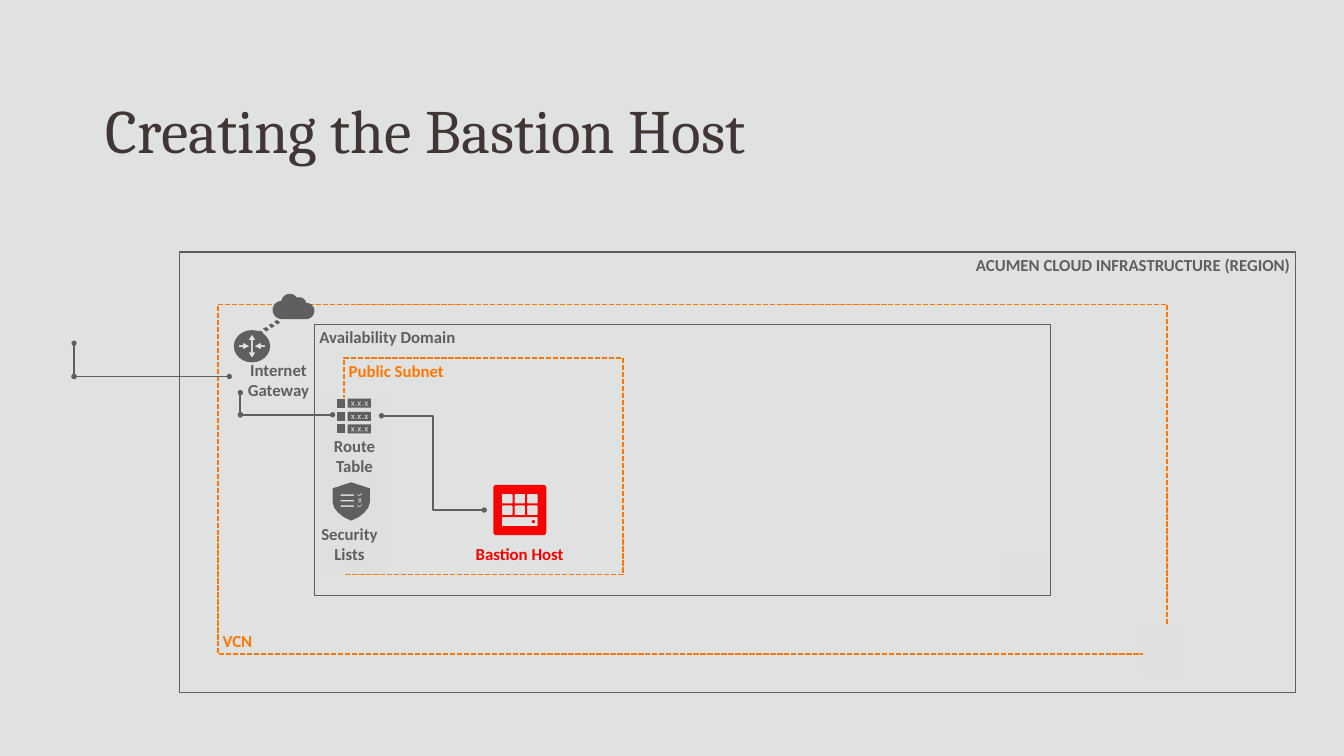
"""Build the slide that shows how the bastion host is created."""
import math
from lxml import etree
from pptx import Presentation
from pptx.dml.color import RGBColor
from pptx.enum import dml, shapes, text
from pptx.oxml import ns
from pptx.util import Inches, Pt

GREY = RGBColor(0x5F, 0x5F, 0x5F)
ORANGE = RGBColor(0xFF, 0x77, 0x00)
RED = RGBColor(0xF8, 0x00, 0x00)
PALE = RGBColor(0xDF, 0xDF, 0xDF)
BROWN = RGBColor(0x41, 0x36, 0x36)
BACK = RGBColor(0xE0, 0xE2, 0xE1)
TOP, MID, LOW = (text.MSO_ANCHOR.TOP, text.MSO_ANCHOR.MIDDLE,
                 text.MSO_ANCHOR.BOTTOM)
LEFT, CENTRE, RIGHT = (text.PP_ALIGN.LEFT, text.PP_ALIGN.CENTER,
                       text.PP_ALIGN.RIGHT)
LABEL = {"name": "Calibri", "size": Pt(24), "bold": True}
TITLE = {"name": "Cambria", "size": Pt(88), "bold": False}


def arc(x, y, rx, ry, start, end):
    """Return points on an arc, clockwise, with angles in degrees."""
    turns = [math.radians(start + (end - start) * i / 12) for i in range(13)]
    return [(x + rx * math.cos(t), y + ry * math.sin(t)) for t in turns]


def box(x, y, w, h, r=0):
    """Return the outline of a box with optional round corners."""
    if not r:
        return [(x, y), (x + w, y), (x + w, y + h), (x, y + h)]
    spots = box(x + r, y + r, w - 2 * r, h - 2 * r)
    return [p for i, (cx, cy) in enumerate(spots)
            for p in arc(cx, cy, r, r, 180 + 90 * i, 270 + 90 * i)]


def move(points, x, y, flip=1):
    """Shift an outline, mirrored left to right when flip is -1."""
    return [(x + flip * px, y + py) for px, py in points]


def cross(x, y):
    """Return the outline of a small x mark."""
    half = [(0, -0.01), (0.01, -0.04), (0.04, -0.04), (0.01, 0),
            (0.04, 0.04), (0.01, 0.04), (0, 0.01)]
    return move(half, x, y) + move(half[::-1], x, y, -1)


class Board:
    """Hold the label style and the current slide."""

    def __init__(self, slide, font):
        """Keep the slide and its label font."""
        self.slide, self.items, self.font = slide, slide.shapes, font

    def words(self, shape, words, color, align=LEFT, anchor=TOP, font=None):
        """Put one formatted paragraph in a shape."""
        frame = shape.text_frame
        frame.word_wrap = True
        frame.vertical_anchor = anchor
        para = frame.paragraphs[0]
        para.alignment = align
        run = para.add_run()
        run.text = words
        for key, value in (font or self.font).items():
            setattr(run.font, key, value)
        run.font.color.rgb = color
        return frame

    def title(self, words, *at):
        """Place and fill the title placeholder."""
        shape = self.items.title
        for key, value in zip(("left", "top", "width", "height"), at):
            setattr(shape, key, Inches(value))
        frame = self.words(shape, words, BROWN, anchor=MID, font=TITLE)
        for side in ("left", "top", "right", "bottom"):
            setattr(frame, "margin_" + side, 0)
        frame.paragraphs[0].line_spacing = 0.9

    def shape(self, kind, at, color=None):
        """Add a preset shape with a plain fill or none."""
        shape = self.items.add_shape(kind, *map(Inches, at))
        shape.shadow.inherit = False
        self.paint(shape, color)
        return shape

    def paint(self, shape, color):
        """Fill a shape and hide its line."""
        shape.line.fill.background()
        if color is None:
            shape.fill.background()
        else:
            shape.fill.solid()
            shape.fill.fore_color.rgb = color

    def frame(self, words, at, color, align=LEFT, anchor=TOP):
        """Add an outlined zone, dashed when orange."""
        shape = self.shape(shapes.MSO_SHAPE.RECTANGLE, at)
        dash = color == ORANGE
        shape.line.color.rgb = color
        shape.line.width = Pt(2.5 if dash else 1.5)
        if dash:
            shape.line.dash_style = dml.MSO_LINE.SQUARE_DOT
        self.words(shape, words, color, align, anchor)

    def label(self, words, at, color=GREY):
        """Add a centred caption."""
        item = self.items.add_textbox(*map(Inches, at))
        frame = self.words(item, words, color, CENTRE)
        frame.auto_size = text.MSO_AUTO_SIZE.SHAPE_TO_FIT_TEXT

    def icon(self, loops, color=GREY):
        """Add one freeform whose inner loops are holes."""
        loops = [[(Inches(x), Inches(y)) for x, y in p] for p in loops]
        pen = self.items.build_freeform(*loops[0][0])
        for i, loop in enumerate(loops):
            if i:
                pen.move_to(*loop[0])
            pen.add_line_segments(loop[1:], close=True)
        shape = pen.convert_to_shape()
        shape.shadow.inherit = False
        self.paint(shape, color)

    def link(self, start, end, kind=shapes.MSO_CONNECTOR.STRAIGHT):
        """Add a connector with a dot at each end."""
        line = self.items.add_connector(kind, *map(Inches, start + end))
        line.line.color.rgb = GREY
        line.line.width = Pt(2.5)
        props = line._element.spPr
        for tag in ("a:headEnd", "a:tailEnd"):
            etree.SubElement(props.find(ns.qn("a:ln")), ns.qn(tag),
                             type="oval")
        etree.SubElement(props, ns.qn("a:effectLst"))


def gateway(board):
    """Draw the cloud, the dots and the router."""
    board.icon([arc(6.08, 6.17, 0.16, 0.16, -90, 90)
                + arc(5.59, 6.15, 0.18, 0.18, 90, 270)
                + arc(5.75, 6, 0.17, 0.17, 190, 328)
                + arc(5.94, 6.04, 0.14, 0.14, 249, 348)])
    dot = [(0, 0), (0.06, -0.03), (0.12, 0.02), (0.06, 0.06)]
    board.icon([move(dot, 5.11 + 0.11 * i, 6.59 - 0.07 * i)
                for i in range(4)])
    side = [(-0.26, -0.02), (-0.18, -0.02), (-0.18, -0.07), (-0.05, 0),
            (-0.18, 0.06), (-0.18, 0.02), (-0.26, 0.02)]
    half = [(0, -0.23), (0.07, -0.12), (0.02, -0.12), (0.02, 0.12),
            (0.07, 0.12), (0, 0.23)]
    board.icon([arc(5, 6.87, 0.36, 0.32, 0, 180)
                + arc(5, 6.87, 0.36, 0.32, 180, 360),
                move(side, 5, 6.87), move(side, 5, 6.87, -1),
                move(half, 5, 6.87) + move(half[::-1], 5, 6.87, -1)])
    board.label("Internet Gateway", (4.61, 7.09, 1.83, 0.86))


def routes(board):
    """Draw the route table."""
    for y in (7.91, 8.17, 8.42):
        board.icon([box(6.68, y, 0.17, 0.18)])
        board.icon([box(6.9, y, 0.46, 0.18)]
                   + [cross(x, y + 0.1) for x in (7, 7.13, 7.27)]
                   + [box(x, y + 0.12, 0.02, 0.02) for x in (7.06, 7.19)])
    board.label("Route Table", (6.22, 8.59, 1.63, 0.5))


def shield(board):
    """Draw the shield of the security lists."""
    half = [(0, 0), (0.37, 0.12), (0.37, 0.39), (0.34, 0.5), (0.26, 0.6),
            (0.15, 0.69), (0, 0.76)]
    tick = [(-0.05, 0), (-0.03, -0.01), (0, 0.02), (0.05, -0.03),
            (0.06, -0.01), (0, 0.04)]
    board.icon([move(half, 6.97, 9.57) + move(half[::-1], 6.97, 9.57, -1)]
               + [box(6.76, 9.81 + 0.11 * i, 0.27, 0.03) for i in range(3)]
               + [move(tick, 7.13, y) for y in (9.81, 10.03)]
               + [cross(7.14, 9.93)])
    board.label("Security Lists", (6.12, 10.34, 1.63, 0.57))


def host(board):
    """Draw the bastion host."""
    board.shape(shapes.MSO_SHAPE.OVAL, (10.55, 10.32, 0.07, 0.06), RED)
    board.icon([box(9.79, 9.62, 1.05, 1, 0.06)]
               + [box(9.96 + 0.25 * i, 9.8 + 0.23 * j, 0.21, 0.19, 0.02)
                  for j in range(2) for i in range(3)]
               + [box(9.96, 10.26, 0.71, 0.18, 0.02)], RED)
    board.label("Bastion Host", (9.32, 10.73, 1.98, 0.43), RED)


def main():
    """Build and save the slide."""
    deck = Presentation()
    deck.slide_width, deck.slide_height = Inches(26.67), Inches(15)
    board = Board(deck.slides.add_slide(deck.slide_layouts[5]), LABEL)
    fill = board.slide.background.fill
    fill.solid()
    fill.fore_color.rgb = BACK
    rect = shapes.MSO_SHAPE.RECTANGLE
    board.title("Creating the Bastion Host", 2.1, 1.16, 22.89, 2.98)
    board.frame("Public Subnet", (6.82, 7.1, 5.54, 4.3), ORANGE)
    board.shape(rect, (6.4, 7.89, 1.33, 3.5), PALE)
    board.frame("ACUMEN CLOUD INFRASTRUCTURE (REGION)",
                (3.57, 5, 22.13, 8.74), GREY, RIGHT)
    board.frame("VCN", (4.32, 6.04, 18.84, 6.93), ORANGE, anchor=LOW)
    board.frame("Availability Domain", (6.24, 6.43, 14.61, 5.38), GREY)
    gateway(board)
    for end, bend, tip in (((4.55, 7.47), (1.47, 7.47), (1.47, 6.81)),
                           ((6.6, 8.23), (4.77, 8.23), (4.77, 7.79))):
        board.link(end, bend)
        board.link(bend, tip)
    routes(board)
    shield(board)
    for at in ((19.85, 10.94, 0.89, 0.72), (22.68, 12.42, 0.82, 0.94)):
        board.shape(rect, at, PALE)
    host(board)
    board.link((7.57, 8.25), (9.61, 10.12), shapes.MSO_CONNECTOR.ELBOW)
    deck.save("out.pptx")


if __name__ == "__main__":
    main()
